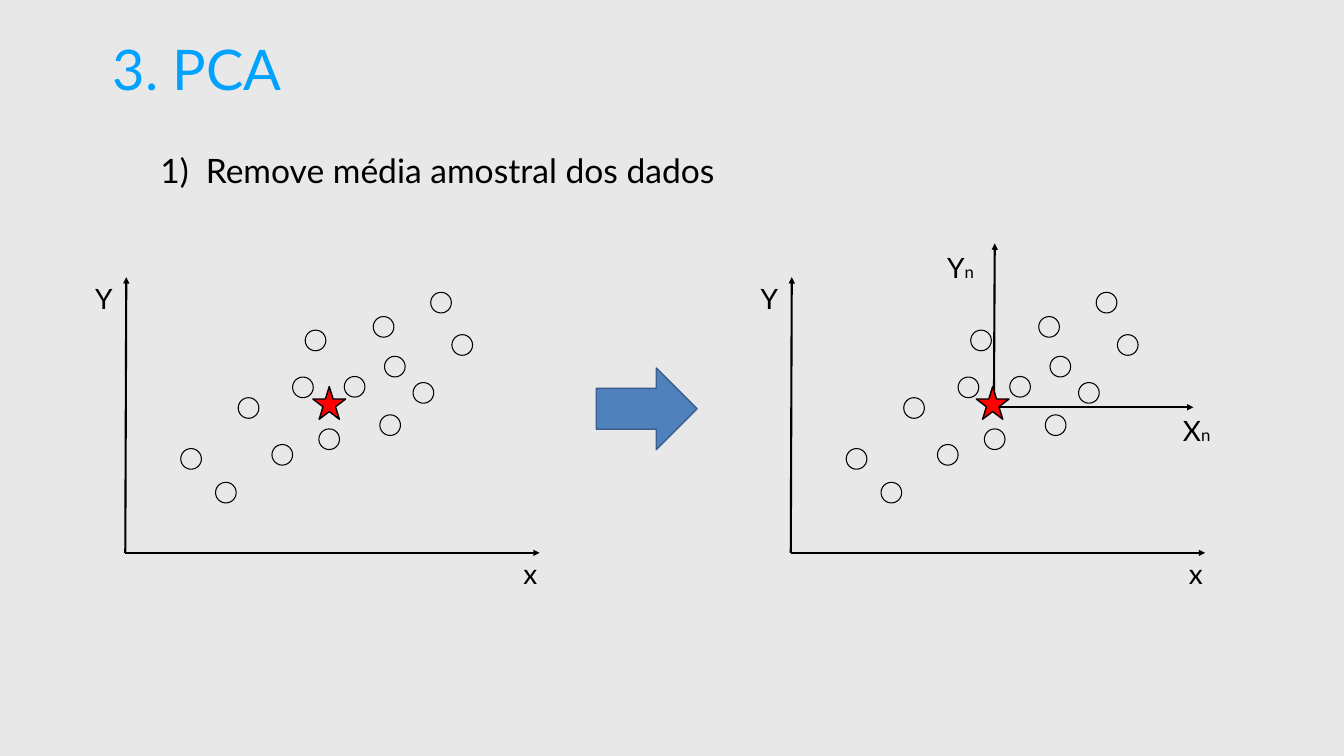
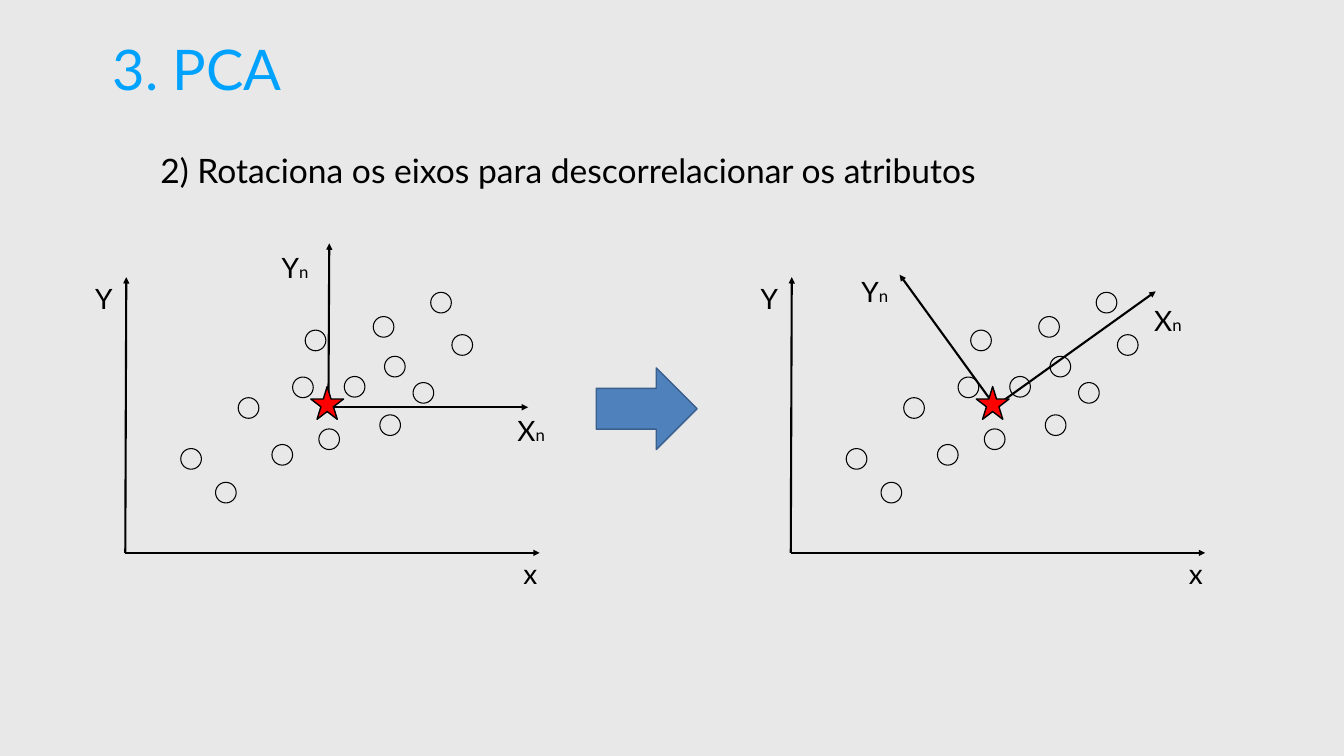
from dataclasses import dataclass

from lxml import etree
from pptx import Presentation
from pptx.dml.color import RGBColor
from pptx.enum import shapes, text
from pptx.oxml import ns
from pptx.util import Pt


@dataclass(frozen=True)
class Theme:
    font: str = "Lato"
    back: str = "E8E8E8"
    blue: str = "00A2FF"
    ink: str = "000000"
    star: str = "FF0000"
    arrow: str = "4F81BD"
    edge: str = "3A5F8C"
    head: int = 80
    body: int = 48
    label: int = 40
    sub: int = 24


T = Theme()
SHAPE = shapes.MSO_SHAPE
TITLE = "3. PCA"
LEFT, RIGHT, BASE = 179, 1129.7, 789.8
INDENT = 68
DOT, STAR = 29.5, 46.8

DOTS = [
    (161.3, 568.1), (239, 538.6), (312.8, 537.8), (79.2, 640.8),
    (128.9, 689), (363.6, 592.6), (257, 471.6), (209.5, 635),
    (411.1, 546.5), (436.3, 417.6), (276.5, 612.7), (466.6, 478.1),
    (370.3, 509), (354.2, 452.2),
]
AXES = [((0, BASE), (1.4, 396)), ((0, BASE), (592, BASE))]
NAMES = [("Y", -115.2, 373.7), ("x", 496.8, 767.5)]

STRAIGHT = {
    "axes": [((290.2, 581), (291.4, 347.8)), ((290.2, 581.8), (575.3, 581.8))],
    "x": (488.2, 563),
    "y": (148.3, 330.5),
}
TURNED = {
    "axes": [((292.3, 581), (155.5, 392.4)), ((289.4, 582.5), (521.3, 416.2))],
    "x": (447.1, 406.1),
    "y": (25.9, 365),
}
SLIDES = [
    {
        "text": "Remove média amostral dos dados",
        "number": True,
        "plots": [(LEFT, 268, None), (RIGHT, 265, STRAIGHT)],
    },
    {
        "text": "2) Rotaciona os eixos para descorrelacionar os atributos",
        "number": False,
        "plots": [(LEFT, 265, STRAIGHT), (RIGHT, 265, TURNED)],
    },
]


def color(code):
    return RGBColor.from_string(code)


def write(frame, *runs, size=T.label, ink=T.ink, pad=(4, 4), indent=INDENT,
          hang=0, space=1.5, number=False, wrap=True,
          anchor=text.MSO_ANCHOR.TOP):
    frame.auto_size = text.MSO_AUTO_SIZE.NONE
    frame.word_wrap = wrap
    frame.vertical_anchor = anchor
    frame.margin_left = frame.margin_right = Pt(pad[0])
    frame.margin_top = frame.margin_bottom = Pt(pad[1])
    para = frame.paragraphs[0]
    para.alignment = text.PP_ALIGN.LEFT
    para.line_spacing = space
    props = para._p.get_or_add_pPr()
    props.set("marL", str(Pt(indent)))
    props.set("indent", str(Pt(hang)))
    if number:
        mark = etree.SubElement(props, ns.qn("a:buAutoNum"))
        mark.set("type", "arabicParenR")
    for part, scale in zip(runs, (size, T.sub)):
        run = para.add_run()
        run.text = part
        run.font.name = T.font
        run.font.size = Pt(scale)
        run.font.color.rgb = color(ink)


def label(slide, x, y, wide, high, *runs, **style):
    box = slide.shapes.add_textbox(Pt(x), Pt(y), Pt(wide), Pt(high))
    write(box.text_frame, *runs, **style)


def shape(slide, kind, x, y, wide, high, fill=None, line=T.ink, width=2):
    item = slide.shapes.add_shape(kind, Pt(x), Pt(y), Pt(wide), Pt(high))
    item.shadow.inherit = False
    if fill:
        item.fill.solid()
        item.fill.fore_color.rgb = color(fill)
    else:
        item.fill.background()
    item.line.color.rgb = color(line)
    item.line.width = Pt(width)


def axis(slide, left, start, end):
    (x1, y1), (x2, y2) = start, end
    line = slide.shapes.add_connector(
        shapes.MSO_CONNECTOR.STRAIGHT,
        Pt(left + x1), Pt(y1), Pt(left + x2), Pt(y2))
    line.line.color.rgb = color(T.ink)
    line.line.width = Pt(3)
    tip = etree.SubElement(line.line._get_or_add_ln(), ns.qn("a:tailEnd"))
    tip.set("type", "triangle")
    etree.SubElement(line._element.spPr, ns.qn("a:effectLst"))


def plot(slide, left, star, frame):
    for start, end in AXES:
        axis(slide, left, start, end)
    for x, y in DOTS:
        shape(slide, SHAPE.OVAL, left + x, y, DOT, DOT, width=1.5)
    for name, x, y in NAMES:
        label(slide, left + x, y, 131, 45.4, name)
    if frame:
        for start, end in frame["axes"]:
            axis(slide, left, start, end)
        x, y = frame["x"]
        label(slide, left + x, y, 145.4, 45.4, "X", "n")
        x, y = frame["y"]
        label(slide, left + x, y, 121.7, 54.7, "Y", "n",
              pad=(7.2, 3.6), wrap=False)
    shape(slide, SHAPE.STAR_5_POINT, left + star, 552.2, STAR, STAR, T.star)


def build(deck, data):
    slide = deck.slides.add_slide(deck.slide_layouts[5])
    title = slide.shapes.title
    title.left, title.top = Pt(157), Pt(45.4)
    title.width, title.height = Pt(1407.6), Pt(103.7)
    write(title.text_frame, TITLE, size=T.head, ink=T.blue, indent=0,
          space=1, anchor=text.MSO_ANCHOR.MIDDLE)
    style = {"indent": 133, "hang": -65} if data["number"] else {}
    label(slide, 157, 182, 1560, 237.6, data["text"], size=T.body,
          number=data["number"], **style)
    for left, star, frame in data["plots"]:
        plot(slide, left, star, frame)
    shape(slide, SHAPE.RIGHT_ARROW, 851.8, 525.6, 144, 116.6,
          T.arrow, T.edge)


def main():
    deck = Presentation()
    deck.slide_width, deck.slide_height = Pt(1920), Pt(1080)
    back = deck.slide_master.background.fill
    back.solid()
    back.fore_color.rgb = color(T.back)
    for data in SLIDES:
        build(deck, data)
    deck.save("out.pptx")


if __name__ == "__main__":
    main()
